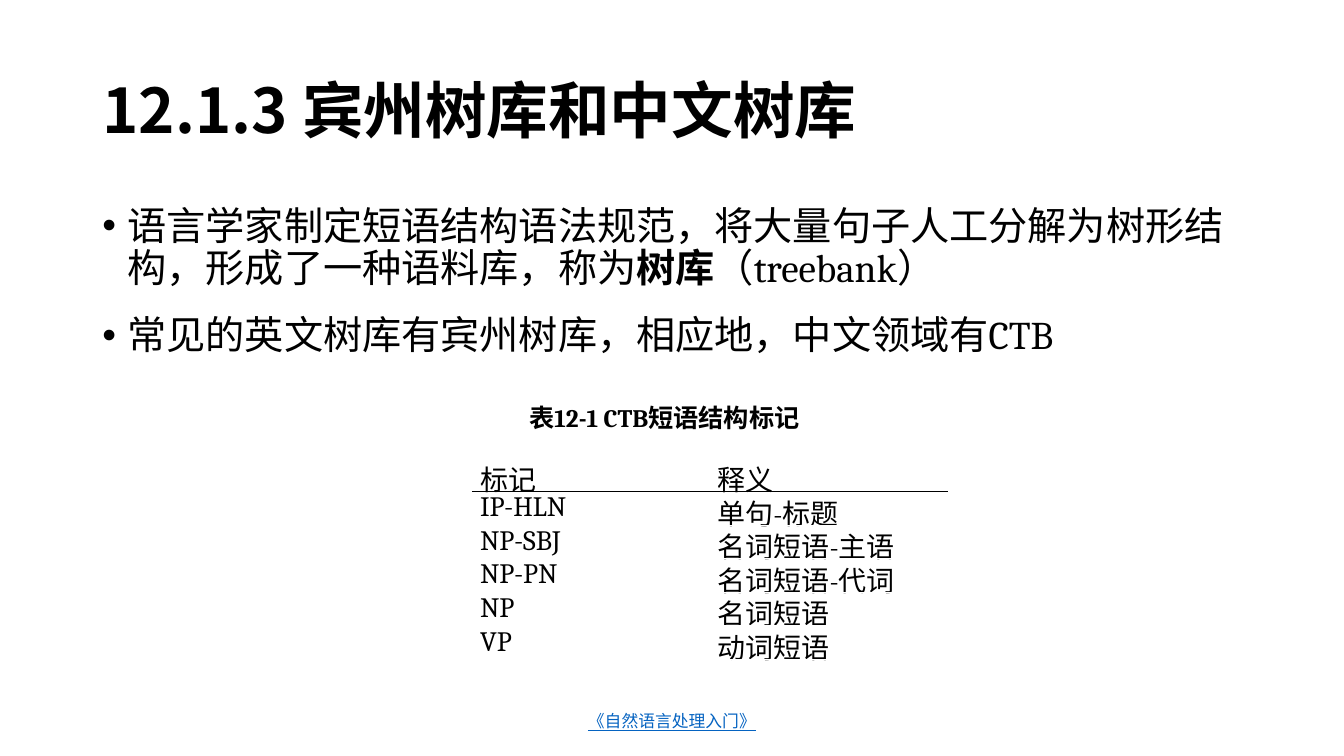
from dataclasses import dataclass

from lxml.etree import SubElement
from pptx import Presentation
from pptx.dml.color import RGBColor
from pptx.enum.text import MSO_ANCHOR, PP_ALIGN
from pptx.oxml import parse_xml
from pptx.oxml.ns import qn
from pptx.util import Pt

COLOURS = {"text": "000000", "link": "0563C1"}
SANS, SERIF = "Noto Sans CJK SC", "Cambria"
NAMESPACE = 'xmlns:a="http://schemas.openxmlformats.org/drawingml/2006/main"'


@dataclass
class Span:
    text: str
    size: float
    font: str = SANS
    bold: bool = False
    underline: bool = False
    colour: str = "text"


@dataclass
class TextBlock:
    left: float
    top: float
    width: float
    height: float
    paragraphs: list[list[Span]]
    frame_format: dict
    paragraph_format: dict
    bullet: bool = False


def write_paragraph(paragraph, spans: list[Span], values: dict) -> None:
    for name, value in values.items():
        setattr(paragraph, name, value)
    for span in spans:
        run = paragraph.add_run()
        run.text = span.text
        run.font.color.rgb = RGBColor.from_string(COLOURS[span.colour])
        values = {"name": span.font, "size": Pt(span.size),
                  "bold": span.bold, "underline": span.underline}
        for name, value in values.items():
            setattr(run.font, name, value)
        # Chinese characters use the sans font beside either Latin font
        SubElement(run.font._element, qn("a:ea"), typeface=SANS)


def add_bullet(paragraph) -> None:
    properties = paragraph._p.get_or_add_pPr()
    properties.set("marL", str(Pt(18)))
    properties.set("indent", str(Pt(-18)))
    SubElement(properties, qn("a:buFont"), typeface="Arial")
    SubElement(properties, qn("a:buChar"), char="•")


def fill_block(box, block: TextBlock) -> None:
    for name in ("left", "top", "width", "height"):
        setattr(box, name, Pt(getattr(block, name)))
    frame = box.text_frame
    for name, value in block.frame_format.items():
        setattr(frame, name, value)
    for index, spans in enumerate(block.paragraphs):
        paragraph = frame.add_paragraph() if index else frame.paragraphs[0]
        write_paragraph(paragraph, spans, block.paragraph_format)
        if block.bullet:
            add_bullet(paragraph)


def add_border(cell, side: str) -> None:
    cell._tc.get_or_add_tcPr().insert(0, parse_xml(
        f'<a:{side} {NAMESPACE} w="{Pt(1)}"><a:solidFill>'
        f'<a:srgbClr val="{COLOURS["text"]}"/></a:solidFill></a:{side}>'))


def add_tag_table(page, rows: list[tuple[str, str]]) -> None:
    table = page.shapes.add_table(
        len(rows), 2, Pt(337.5), Pt(327), Pt(339), Pt(24 * len(rows))).table
    table.first_row = table.horz_banding = False
    cell_format = {"margin_left": Pt(5.4), "margin_right": Pt(5.4),
                   "margin_top": 0, "margin_bottom": 0}
    spacing = {"space_before": Pt(1.8), "space_after": Pt(1.8)}
    for row_index, row in enumerate(rows):
        for column_index, text in enumerate(row):
            cell = table.cell(row_index, column_index)
            for name, value in cell_format.items():
                setattr(cell, name, value)
            cell.vertical_anchor = MSO_ANCHOR.TOP if row_index else MSO_ANCHOR.BOTTOM
            cell.fill.background()
            # A hyphen between Chinese terms takes the serif font
            parts = text.partition("-") if column_index else (text,)
            spans = [Span(part, 20, SERIF if part.isascii() else SANS)
                     for part in parts if part]
            write_paragraph(cell.text_frame.paragraphs[0], spans, spacing)
            # One rule under the header row
            if row_index < 2:
                add_border(cell, "lnT" if row_index else "lnB")


TITLE = TextBlock(
    66, 28.75, 828, 104.4,
    [[Span("12.1.3 宾州树库和中文树库", 44, bold=True)]],
    {"vertical_anchor": MSO_ANCHOR.MIDDLE, "word_wrap": True},
    {"alignment": PP_ALIGN.LEFT, "line_spacing": 0.9})

TEXT_BLOCKS = [
    # Source book
    TextBlock(
        318, 500.5, 324, 28.75,
        [[Span("《自然语言处理入门》", 12, underline=True, colour="link")]],
        {"vertical_anchor": MSO_ANCHOR.MIDDLE, "word_wrap": True},
        {"alignment": PP_ALIGN.CENTER}),
    # Bulleted explanation
    TextBlock(
        66, 143.75, 828, 342.7,
        [[Span("语言学家制定短语结构语法规范，将大量句子人工分解为树形结构，"
               "形成了一种语料库，称为", 28, SERIF),
          Span("树库", 28, SERIF, bold=True),
          Span("（treebank）", 28, SERIF)],
         [Span("常见的英文树库有宾州树库，相应地，中文领域有CTB", 28, SERIF)]],
        {"word_wrap": True},
        {"line_spacing": 0.9, "space_before": Pt(9), "space_after": Pt(9)},
        bullet=True),
    # Table caption
    TextBlock(
        371, 283.7, 219, 29,
        [[Span("表12-1 CTB短语结构标记", 18, SERIF, bold=True)]],
        {"word_wrap": False},
        {"space_before": Pt(9), "space_after": Pt(9)}),
]

TAG_ROWS = [
    ("标记", "释义"),
    ("IP-HLN", "单句-标题"),
    ("NP-SBJ", "名词短语-主语"),
    ("NP-PN", "名词短语-代词"),
    ("NP", "名词短语"),
    ("VP", "动词短语"),
]


def main() -> None:
    deck = Presentation()
    deck.slide_width, deck.slide_height = Pt(960), Pt(540)
    page = deck.slides.add_slide(deck.slide_layouts.get_by_name("Title Only"))
    fill_block(page.shapes.title, TITLE)
    for block in TEXT_BLOCKS:
        fill_block(page.shapes.add_textbox(0, 0, 0, 0), block)
    add_tag_table(page, TAG_ROWS)
    deck.save("out.pptx")


if __name__ == "__main__":
    main()
